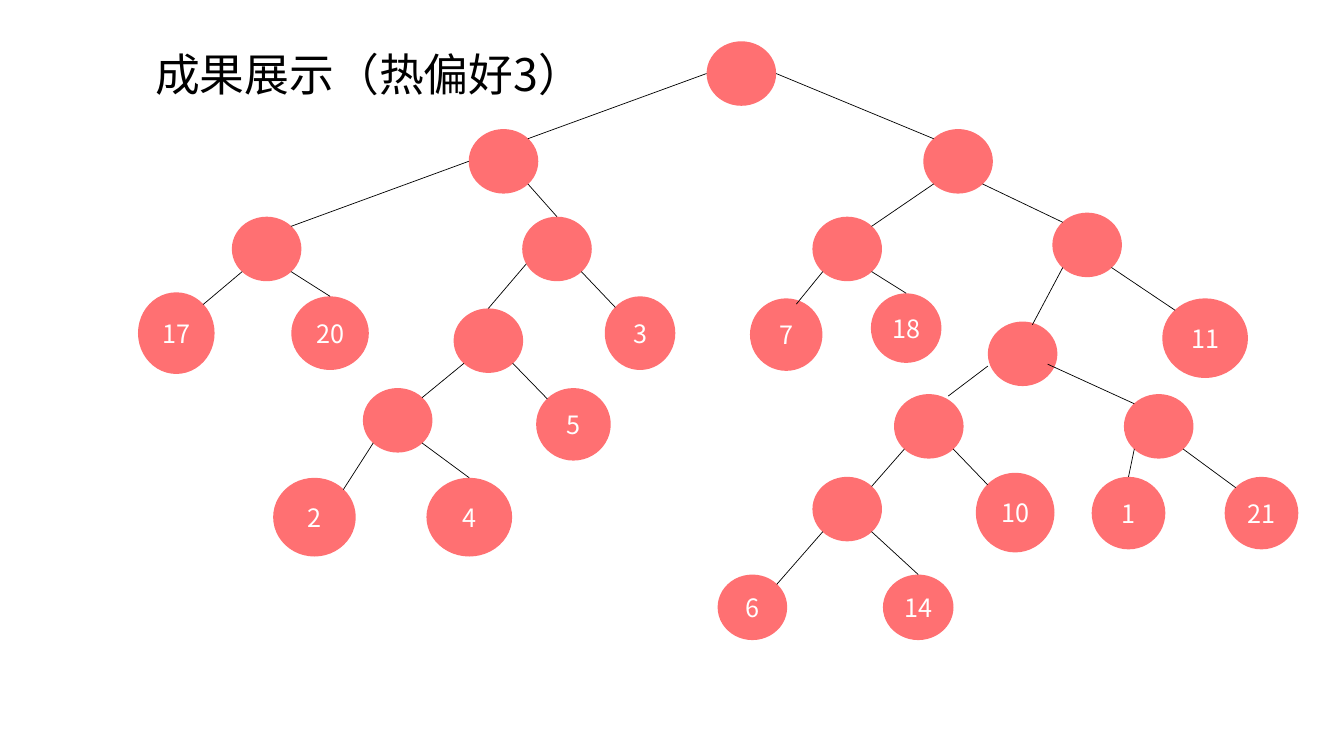
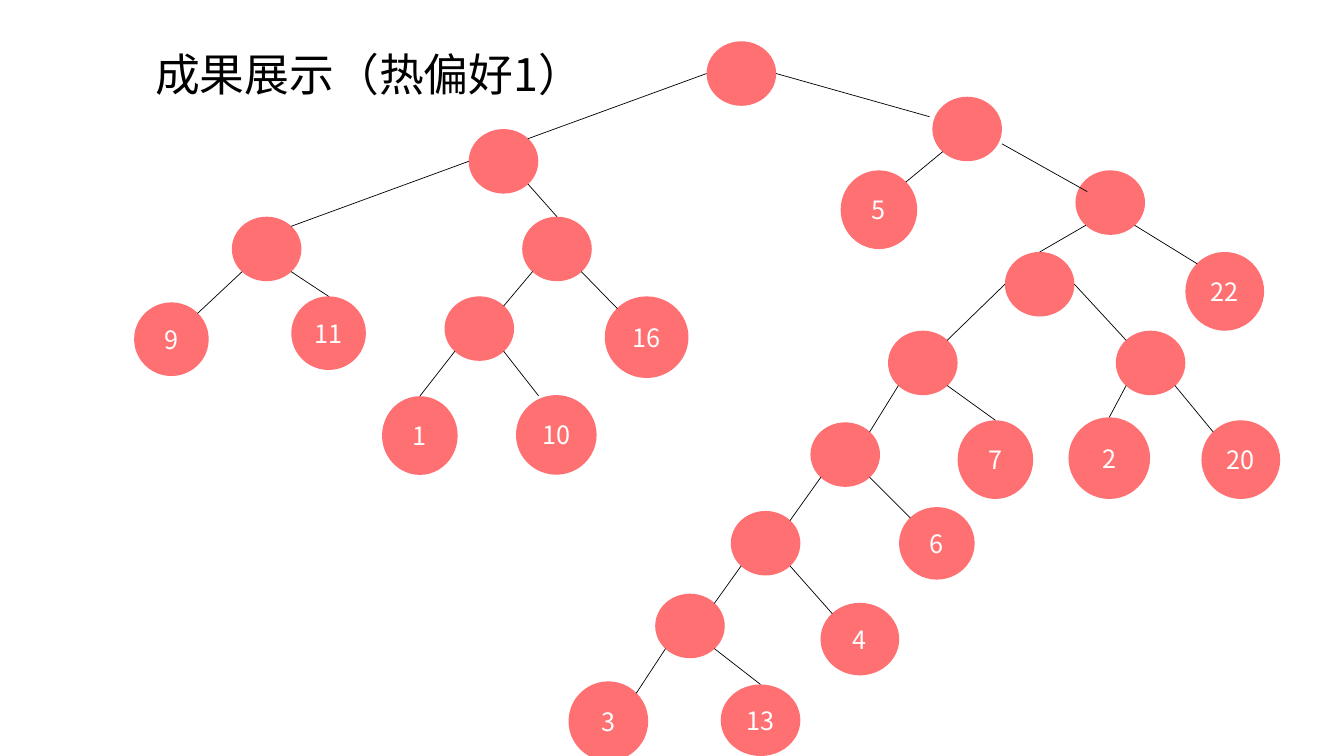
from dataclasses import dataclass
from typing import Optional

from lxml import etree
from pptx import Presentation
from pptx.dml.color import RGBColor
from pptx.enum.shapes import MSO_CONNECTOR, MSO_SHAPE
from pptx.enum.text import MSO_ANCHOR, PP_ALIGN
from pptx.oxml.ns import qn
from pptx.util import Pt

OVAL = MSO_SHAPE.OVAL
STRAIGHT = MSO_CONNECTOR.STRAIGHT
MIDDLE = MSO_ANCHOR.MIDDLE
LEFT = PP_ALIGN.LEFT
CENTER = PP_ALIGN.CENTER

COLORS = {"node": "FF7072", "label": "FFFFFF", "title": "000000", "edge": "000000"}
FONT = "Noto Sans CJK SC"
SLIDE_SIZE = (960, 540)
TITLE_BOX = (103.7, 29.5, 337.7, 46.1)
TREE_BOX = (0, 0, *SLIDE_SIZE)
BRANCH_SIZE = (49.7, 46.1)

TOP = (0.5, 0)
MIDDLE_LEFT = (0, 0.5)
MIDDLE_RIGHT = (1, 0.5)
TOP_LEFT = (0.15, 0.15)
TOP_RIGHT = (0.85, 0.15)
BOTTOM_LEFT = (0.15, 0.85)
BOTTOM_RIGHT = (0.85, 0.85)
DEFAULT_SITES = {"L": (BOTTOM_LEFT, TOP_RIGHT), "R": (BOTTOM_RIGHT, TOP_LEFT)}


@dataclass
class Node:
    """Tree node with its place, label and the sites of the edge from its parent."""

    left: float
    top: float
    label: str = ""
    size: tuple = BRANCH_SIZE
    begin: Optional[tuple] = None
    end: Optional[tuple] = None

    def site(self, fractions):
        """Return the point at the given fractions of the node's box."""
        return (self.left + self.size[0] * fractions[0],
                self.top + self.size[1] * fractions[1])


SHARED_NODES = {
    "": Node(504.7, 29.5),
    "L": Node(334.8, 92.2, begin=MIDDLE_LEFT),
    "LL": Node(165.6, 154.8, begin=MIDDLE_LEFT),
    "LR": Node(373, 154.8, end=TOP),
}

PREFERENCE_THREE = {
    **SHARED_NODES,
    "LLL": Node(98.6, 208.8, "17", (54.7, 58.3)),
    "LLR": Node(208.1, 211.7, "20", (55.4, 52.6), end=TOP),
    "LRL": Node(324, 220.3, begin=(0.06, 0.73), end=TOP),
    "LRR": Node(432, 211.7, "3", (50.4, 52.6)),
    "LRLL": Node(259.2, 277.2),
    "LRLR": Node(383, 277.2, "5", (53.3, 51.8)),
    "LRLLL": Node(195.1, 341.3, "2", (59, 56.2)),
    "LRLLR": Node(304.6, 341.3, "4", (61.2, 56.2), end=TOP),
    "R": Node(659.5, 92.2, begin=MIDDLE_RIGHT),
    "RL": Node(580.3, 154.8),
    "RR": Node(751.7, 151.9),
    "RLL": Node(535.7, 213.1, "7", (51.8, 51.8), end=(0.64, 0.08)),
    "RLR": Node(622.1, 209.5, "18", (50.4, 49.7), end=TOP),
    "RRL": Node(705.6, 229.7, end=(0.64, 0.05)),
    "RRR": Node(830.2, 213.1, "11", (61.2, 56.9)),
    "RRLL": Node(638.6, 281.5, begin=(0, 0.69), end=(0.78, 0.03)),
    "RRLR": Node(802.8, 281.5, begin=(0.86, 0.66)),
    "RRLLL": Node(580.3, 340.6),
    "RRLLR": Node(697, 337.7, "10", (56.2, 56.9)),
    "RRLLLL": Node(512.6, 410.4, "6", (49.7, 46.8)),
    "RRLLLR": Node(630.7, 410.4, "14", (50.4, 46.8), end=TOP),
    "RRLRL": Node(779.8, 340.6, "1", (52.6, 51.8), end=TOP),
    "RRLRR": Node(874.8, 340.6, "21", (52.6, 51.8)),
}

PREFERENCE_ONE = {
    **SHARED_NODES,
    "LLL": Node(95.8, 216, "9", (53.3, 52.6)),
    "LLR": Node(208.1, 211.7, "11", (53.3, 52.6), end=TOP),
    "LRL": Node(317.5, 211.7),
    "LRR": Node(432, 211.7, "16", (59.8, 58.3)),
    "LRLL": Node(272.9, 283, "1", (54, 56.2), end=TOP),
    "LRLR": Node(368.6, 282.2, "10", (57.6, 56.9), end=(0.28, 0.01)),
    "R": Node(666, 69.1, begin=MIDDLE_RIGHT, end=(-0.04, 0.31)),
    "RL": Node(600.5, 121.7, "5", (54.7, 56.2)),
    "RR": Node(768.2, 121.7, begin=(1, 0.73), end=(0.17, 0.33)),
    "RRL": Node(717.8, 180, end=TOP),
    "RRR": Node(846.7, 180, "22", (56.2, 56.2)),
    "RRLL": Node(634.3, 236.2, begin=MIDDLE_LEFT),
    "RRLR": Node(797, 236.2, begin=MIDDLE_RIGHT),
    "RRLLL": Node(578.9, 301.7),
    "RRLLR": Node(684, 300.2, "7", (54, 56.2), end=TOP),
    "RRLRL": Node(763.2, 298.1, "2", (58.3, 58.3), end=TOP),
    "RRLRR": Node(858.2, 300.2, "20", (56.2, 56.2)),
    "RRLLLL": Node(522, 365),
    "RRLLLR": Node(642.2, 362.2, "6", (54, 51.8)),
    "RRLLLLL": Node(468, 424.1),
    "RRLLLLR": Node(586.1, 430.6, "4", (56.2, 51.8)),
    "RRLLLLLL": Node(406.1, 486.7, "3", (56.9, 56.9)),
    "RRLLLLLR": Node(514.8, 488.9, "13", (56.9, 51.1), end=TOP),
}

SLIDES = [("成果展示（热偏好3）", PREFERENCE_THREE), ("成果展示（热偏好1）", PREFERENCE_ONE)]


def rgb(name):
    """Return the named colour."""
    return RGBColor.from_string(COLORS[name])


def set_text(shape, text, size, color, alignment):
    """Write one vertically centred paragraph in the deck's font."""
    text_frame = shape.text_frame
    text_frame.vertical_anchor = MIDDLE
    text_frame.text = text
    paragraph = text_frame.paragraphs[0]
    paragraph.alignment = alignment
    for run in paragraph.runs:
        run.font.size = Pt(size)
        run.font.name = FONT
        run.font.color.rgb = rgb(color)
        east_asian = etree.SubElement(run.font._element, qn("a:ea"))
        east_asian.set("typeface", FONT)


def add_title(slide, box, text):
    """Place the slide title in the given box."""
    title = slide.shapes.add_textbox(*map(Pt, box))
    title.text_frame.word_wrap = True
    set_text(title, text, 32, "title", LEFT)


def add_node(slide, left, top, node):
    """Draw a node relative to the tree's top left corner."""
    shape = slide.shapes.add_shape(
        OVAL, Pt(left + node.left), Pt(top + node.top), *map(Pt, node.size))
    shape.shadow.inherit = False
    shape.fill.solid()
    shape.fill.fore_color.rgb = rgb("node")
    shape.line.fill.background()
    if node.label:
        shape.text_frame.word_wrap = False
        set_text(shape, node.label, 18, "label", CENTER)


def add_edge(slide, left, top, begin, end):
    """Draw a thin line between two points of the tree."""
    edge = slide.shapes.add_connector(
        STRAIGHT, Pt(left + begin[0]), Pt(top + begin[1]),
        Pt(left + end[0]), Pt(top + end[1]))
    edge.line.color.rgb = rgb("edge")
    edge.line.width = Pt(0.5)
    etree.SubElement(edge._element.spPr, qn("a:effectLst"))


def add_tree(slide, box, nodes):
    """Draw nodes keyed by their route from the root, then the edges."""
    left, top = box[:2]
    for node in nodes.values():
        add_node(slide, left, top, node)
    for route, node in nodes.items():
        if route:
            begin, end = DEFAULT_SITES[route[-1]]
            parent = nodes[route[:-1]]
            add_edge(slide, left, top, parent.site(node.begin or begin),
                     node.site(node.end or end))


def main():
    """Build and save the presentation."""
    presentation = Presentation()
    presentation.slide_width, presentation.slide_height = map(Pt, SLIDE_SIZE)
    for title, nodes in SLIDES:
        slide = presentation.slides.add_slide(presentation.slide_layouts[6])
        add_title(slide, TITLE_BOX, title)
        add_tree(slide, TREE_BOX, nodes)
    presentation.save("out.pptx")


if __name__ == "__main__":
    main()
